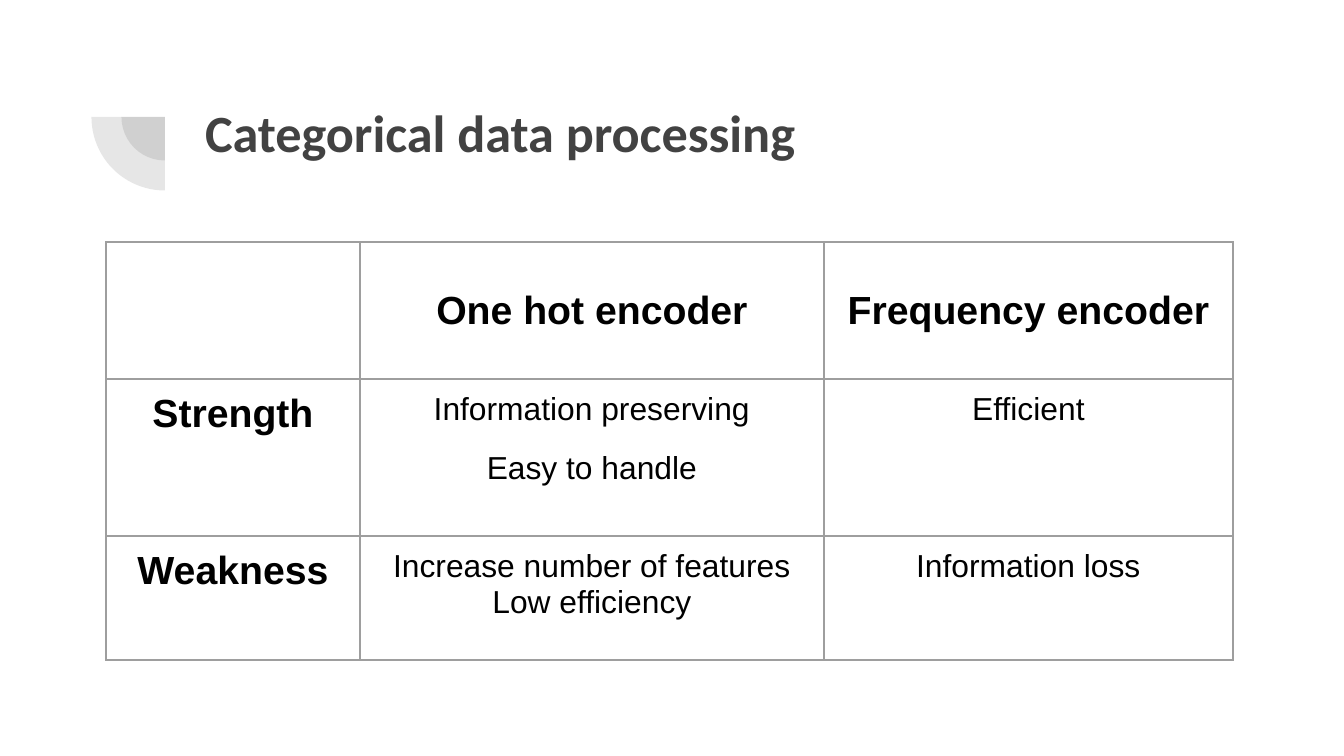
import dataclasses

import lxml.etree
import pptx
import pptx.dml.color
import pptx.enum.shapes
import pptx.enum.text
import pptx.oxml.ns
import pptx.util

EMU_PER_PX = 914400 / 134.4
SLIDE_SIZE = (1344, 756)
ALIGN = pptx.enum.text.PP_ALIGN
ANCHOR = pptx.enum.text.MSO_ANCHOR
qn = pptx.oxml.ns.qn


@dataclasses.dataclass(frozen=True)
class Theme:
    dark: str = "424242"
    ink: str = "000000"
    border: str = "9E9E9E"
    heading_font: str = "Calibri"
    body_font: str = "Arial"
    title_size: int = 28
    label_size: int = 21
    body_size: int = 17
    border_width: float = 0.75
    item_gap: float = 12.5
    pie_alpha: int = 13
    inset: int = 13


THEME = Theme()
TITLE = {"name": THEME.heading_font, "size": pptx.util.Pt(THEME.title_size), "bold": True}
LABEL = {"name": THEME.body_font, "size": pptx.util.Pt(THEME.label_size), "bold": True}
BODY = {"name": THEME.body_font, "size": pptx.util.Pt(THEME.body_size), "bold": False}

COLUMN_WIDTHS = (254, 464, 409)
ROW_HEIGHTS = (137, 157, 124)
# Each cell holds its lines and the extra gap in points between them.
COMPARISON = (
    (((), 0), (("One hot encoder",), 0), (("Frequency encoder",), 0)),
    ((("Strength",), 0), (("Information preserving", "Easy to handle"), THEME.item_gap),
     (("Efficient",), 0)),
    ((("Weakness",), 0), (("Increase number of features", "Low efficiency"), 0),
     (("Information loss",), 0)),
)


def px(length):
    return pptx.util.Emu(round(length * EMU_PER_PX))


def rgb(color):
    return pptx.dml.color.RGBColor.from_string(color)


def apply_format(target, values):
    for attribute, value in values.items():
        setattr(target, attribute, value)


def set_insets(target):
    sides = ("left", "top", "right", "bottom")
    apply_format(target, {f"margin_{side}": px(THEME.inset) for side in sides})


def write_lines(frame, lines, font, color, align, gap=0):
    for index, line in enumerate(lines):
        paragraph = frame.paragraphs[0] if index == 0 else frame.add_paragraph()
        paragraph.alignment = align
        if index and gap:
            paragraph.space_before = pptx.util.Pt(gap)
        run = paragraph.add_run()
        run.text = line
        apply_format(run.font, font)
        run.font.color.rgb = rgb(color)


def add_corner_ornament(slide, center_x, center_y, diameters):
    """Draw overlapping translucent quarter discs below and left of a shared centre."""
    for diameter in diameters:
        quarter = slide.shapes.add_shape(
            pptx.enum.shapes.MSO_SHAPE.PIE,
            px(center_x - diameter / 2), px(center_y - diameter / 2),
            px(diameter), px(diameter))
        quarter.adjustments[0], quarter.adjustments[1] = 108, 162
        quarter.rotation = 270
        quarter.shadow.inherit = False
        quarter.line.fill.background()
        quarter.fill.solid()
        quarter.fill.fore_color.rgb = rgb(THEME.dark)
        color = quarter.fill._xPr.find(".//" + qn("a:srgbClr"))
        lxml.etree.SubElement(color, qn("a:alpha"), val=str(THEME.pie_alpha * 1000))


def add_title(slide, left, top, width, height, text):
    title = slide.shapes.add_textbox(px(left), px(top), px(width), px(height))
    frame = title.text_frame
    apply_format(frame, {"word_wrap": True, "vertical_anchor": ANCHOR.TOP})
    set_insets(frame)
    write_lines(frame, (text,), TITLE, THEME.dark, ALIGN.LEFT)


def add_borders(cell):
    properties = cell._tc.get_or_add_tcPr()
    for index, edge in enumerate(("lnL", "lnR", "lnT", "lnB")):
        line = lxml.etree.Element(
            qn("a:" + edge), w=str(pptx.util.Pt(THEME.border_width)))
        fill = lxml.etree.SubElement(line, qn("a:solidFill"))
        lxml.etree.SubElement(fill, qn("a:srgbClr"), val=THEME.border)
        properties.insert(index, line)


def add_comparison_table(slide, left, top):
    table = slide.shapes.add_table(
        len(ROW_HEIGHTS), len(COLUMN_WIDTHS), px(left), px(top),
        px(sum(COLUMN_WIDTHS)), px(sum(ROW_HEIGHTS))).table
    apply_format(table, {"first_row": False, "horz_banding": False})
    for column, width in zip(table.columns, COLUMN_WIDTHS):
        column.width = px(width)
    for row, height in zip(table.rows, ROW_HEIGHTS):
        row.height = px(height)

    for row_index, row in enumerate(COMPARISON):
        for column_index, (lines, gap) in enumerate(row):
            cell = table.cell(row_index, column_index)
            is_label = row_index == 0 or column_index == 0
            cell.fill.background()
            cell.vertical_anchor = ANCHOR.MIDDLE if row_index == 0 else ANCHOR.TOP
            set_insets(cell)
            add_borders(cell)
            write_lines(cell.text_frame, lines, LABEL if is_label else BODY,
                        THEME.ink, ALIGN.CENTER, gap)


def main():
    presentation = pptx.Presentation()
    presentation.slide_width, presentation.slide_height = map(px, SLIDE_SIZE)
    slide = presentation.slides.add_slide(presentation.slide_layouts[6])
    add_corner_ornament(slide, 165, 117, (87, 147))
    add_title(slide, 192, 87, 1034, 146, "Categorical data processing")
    add_comparison_table(slide, 106, 242)
    presentation.save("out.pptx")


if __name__ == "__main__":
    main()
